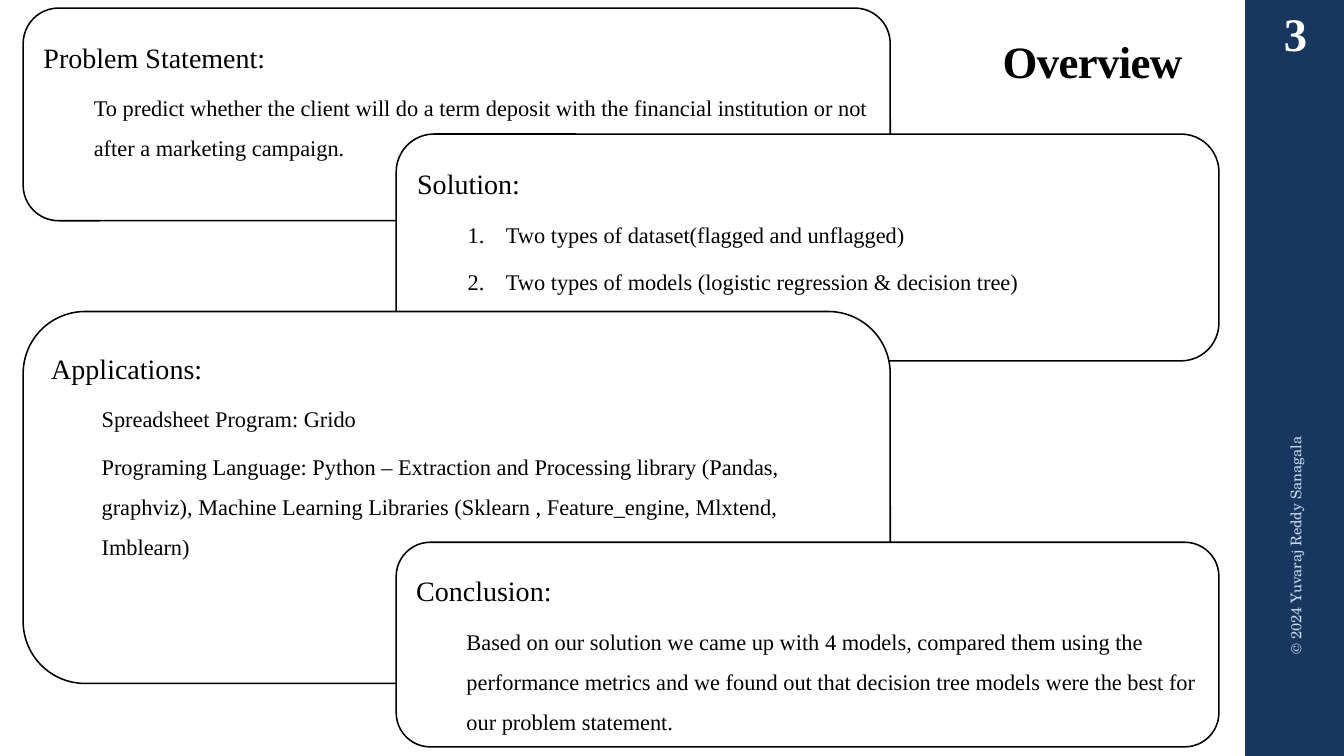
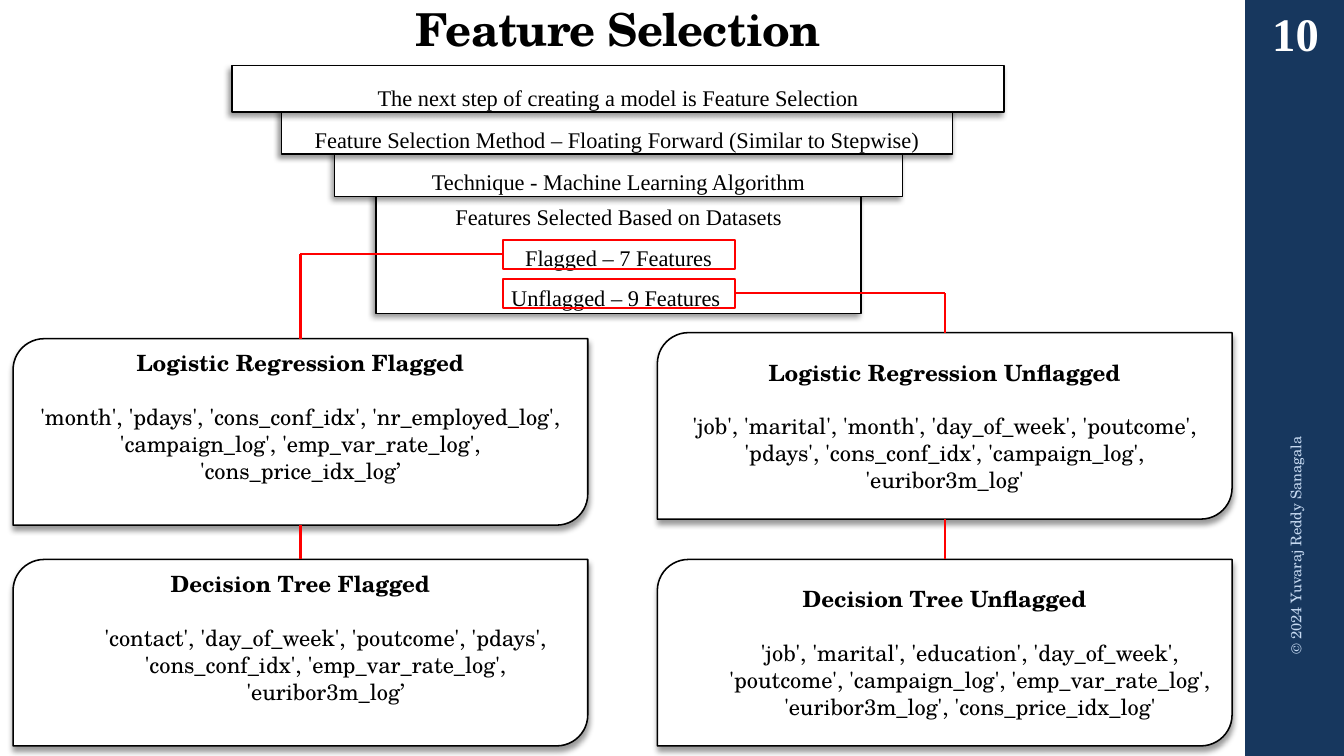
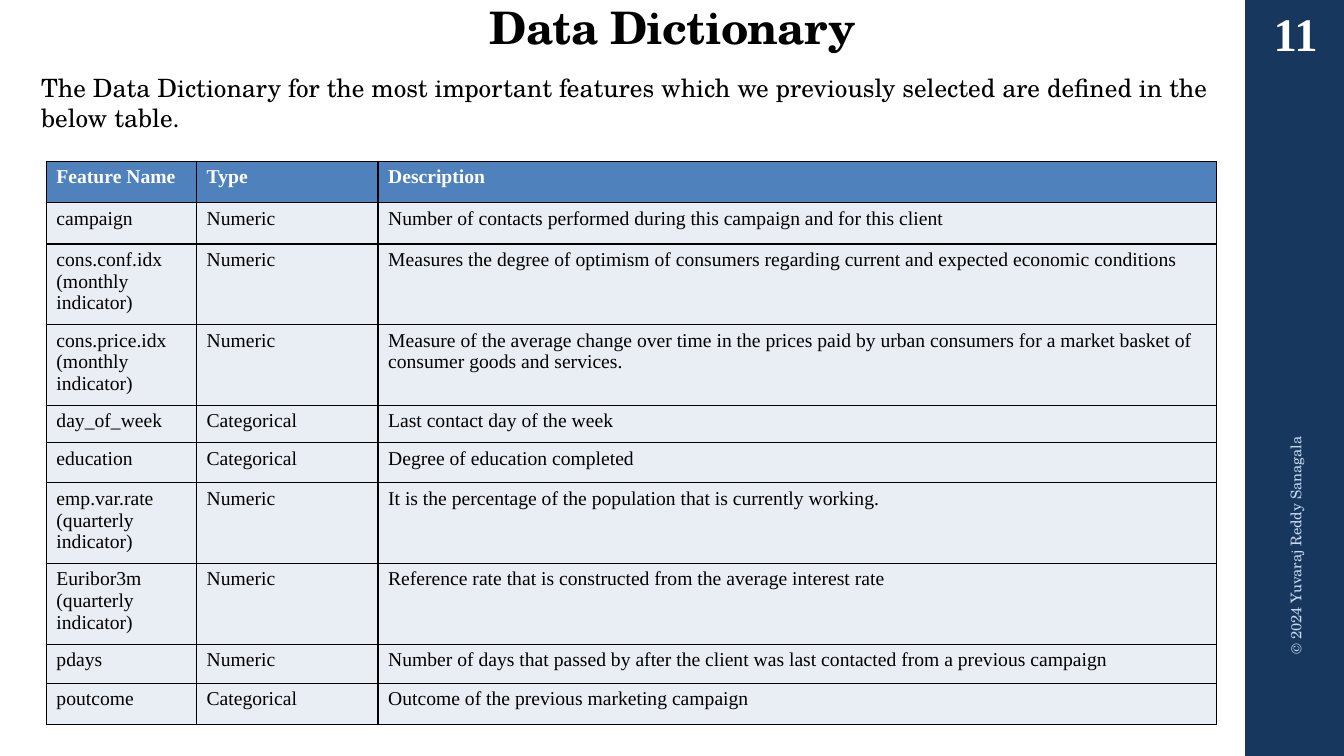
"""Build three slides of a term deposit prediction deck: overview, feature selection, data dictionary."""
from lxml import etree
from pptx import Presentation
from pptx.dml.color import RGBColor
from pptx.enum.shapes import MSO_CONNECTOR, MSO_SHAPE
from pptx.enum.text import MSO_ANCHOR, MSO_AUTO_SIZE, PP_ALIGN
from pptx.oxml.ns import qn
from pptx.util import Inches, Pt

RECT, ROUND, DIAGONAL = MSO_SHAPE.RECTANGLE, MSO_SHAPE.ROUNDED_RECTANGLE, MSO_SHAPE.ROUND_2_DIAG_RECTANGLE
STRAIGHT = MSO_CONNECTOR.STRAIGHT
LEFT, CENTER = PP_ALIGN.LEFT, PP_ALIGN.CENTER
TOP, MIDDLE, BOTTOM = MSO_ANCHOR.TOP, MSO_ANCHOR.MIDDLE, MSO_ANCHOR.BOTTOM
GROW = MSO_AUTO_SIZE.SHAPE_TO_FIT_TEXT
SERIF, SCHOLA = "Times New Roman", "TeX Gyre Schola"
BLACK, WHITE, RED = "000000", "FFFFFF", "FF0000"
NAVY, PALE_BLUE, HEADER_BLUE, ROW_GREY = "17375E", "C6D9F1", "4F81BD", "E9EDF4"
color = RGBColor.from_string


def write(frame, text, size=16, font=SERIF, ink=BLACK, bold=False, align=LEFT, line=1.0,
          before=0, after=0, margin=0, hanging=0, numbered=False, tracking=0):
    """Add one formatted paragraph to a text frame."""
    paragraph = frame.add_paragraph() if frame.text else frame.paragraphs[0]
    paragraph.alignment = align
    paragraph.line_spacing = line
    paragraph.space_before, paragraph.space_after = Pt(before), Pt(after)
    properties = paragraph._p.get_or_add_pPr()
    if margin:
        paragraph.level = 1
        properties.set("marL", str(Inches(margin)))
        properties.set("indent", str(Inches(-hanging)))
    if numbered:
        etree.SubElement(properties, qn("a:buAutoNum"), type="arabicPeriod")
    run = paragraph.add_run()
    run.text = text
    run.font.size, run.font.name, run.font.bold = Pt(size), font, bold
    run.font.color.rgb = color(ink)
    if tracking:
        run._r.get_or_add_rPr().set("spc", str(int(tracking * 100)))


def add_box(slide, place, kind=None, fill=None, line=None, width=1.1, shadow=None, anchor=TOP, grow=False):
    """Add a preset shape, or a text box when no kind is given."""
    lengths = [Inches(value) for value in place]
    if kind is None:
        box = slide.shapes.add_textbox(*lengths)
    else:
        box = slide.shapes.add_shape(kind, *lengths)
        box.shadow.inherit = False
        if fill:
            box.fill.solid()
            box.fill.fore_color.rgb = color(fill)
        else:
            box.fill.background()
        if line:
            box.line.color.rgb = color(line)
            box.line.width = Pt(width)
        else:
            box.line.fill.background()
    if shadow:
        effects = box._element.spPr.find(qn("a:effectLst"))
        outer = etree.SubElement(effects, qn("a:outerShdw"), blurRad=str(Pt(4)), dist=str(Pt(3)),
                                 dir=str(shadow * 60000), algn="t", rotWithShape="0")
        tint = etree.SubElement(outer, qn("a:srgbClr"), val=BLACK)
        etree.SubElement(tint, qn("a:alpha"), val="40000")
    box.text_frame.word_wrap = True
    box.text_frame.vertical_anchor = anchor
    if grow:
        box.text_frame.auto_size = GROW
    return box


deck = Presentation()
deck.slide_width, deck.slide_height = Inches(13.33), Inches(7.5)

pages = [
    ("Overview", "3", (9.47, 0.27, 2.73, 0.65), SERIF, 32),
    ("Feature Selection", "10", (4.01, 0, 4.24, 0.61), SCHOLA, 32.4),
    ("Data Dictionary", "11", (4.29, -0.02, 4.76, 0.61), SCHOLA, 32),
]
slides = []
for heading, number, place, font, size in pages:
    slide = deck.slides.add_slide(deck.slide_layouts[6])
    slide.background.fill.solid()
    slide.background.fill.fore_color.rgb = color(WHITE)
    add_box(slide, (12.35, 0, 1, 7.5), RECT, fill=NAVY)
    title = add_box(slide, place, anchor=BOTTOM)
    write(title.text_frame, heading, size=size, font=font, bold=True, align=CENTER, line=0.9, tracking=-0.5)
    page_number = add_box(slide, (12.35, 0, 1, 0.65), anchor=MIDDLE)
    page_number.text_frame.margin_left = page_number.text_frame.margin_right = Inches(0.05)
    write(page_number.text_frame, number, size=33.3, ink=WHITE, bold=True, align=CENTER)
    copyright_line = add_box(slide, (10.89, 4.43, 3.92, 0.4), anchor=MIDDLE)
    copyright_line.rotation = 270
    write(copyright_line.text_frame, "© 2024 Yuvaraj Reddy Sanagala", size=10.5, font=SCHOLA, ink=PALE_BLUE)
    slides.append(slide)
overview, selection, dictionary = slides

plain = {"margin": 0.5}
numbered = {"margin": 0.88, "hanging": 0.38, "numbered": True}
cards = [
    ((0.23, 0.08, 8.6, 2.11), "Problem Statement:", plain, [
        "To predict whether the client will do a term deposit with the financial institution or not "
        "after a marketing campaign."]),
    ((3.93, 1.33, 8.16, 2.25), "Solution:", numbered, [
        "Two types of dataset(flagged and unflagged)",
        "Two types of models (logistic regression & decision tree)"]),
    ((0.23, 3.09, 8.6, 3.69), "Applications:", plain, [
        "Spreadsheet Program: Grido",
        "Programing Language: Python – Extraction and Processing library (Pandas, graphviz), "
        "Machine Learning Libraries (Sklearn , Feature_engine, Mlxtend, Imblearn)"]),
    ((3.93, 5.38, 8.16, 2.03), "Conclusion:", plain, [
        "Based on our solution we came up with 4 models, compared them using the performance metrics "
        "and we found out that decision tree models were the best for our problem statement."]),
]
for place, heading, layout, points in cards:
    card = add_box(overview, place, ROUND, fill=WHITE, line=BLACK, grow=True)
    write(card.text_frame, heading, size=20, line=1.5, before=10)
    for point in points:
        write(card.text_frame, point, line=1.5, before=5, **layout)

datasets = add_box(selection, (3.73, 1.71, 4.81, 1.4), RECT, fill=WHITE, line=BLACK, shadow=135, grow=True)
datasets.text_frame.margin_top = Inches(0.31)
write(datasets.text_frame, "Features Selected Based on Datasets", align=CENTER)
for count in ("Flagged – 7 Features", "Unflagged – 9 Features "):
    write(datasets.text_frame, count, align=CENTER, line=1.5)

steps = [
    (3.32, 1.49, 5.63, "Technique - Machine Learning Algorithm"),
    (2.79, 1.07, 6.66, "Feature Selection Method – Floating Forward (Similar to Stepwise)"),
    (2.3, 0.65, 7.66, "The next step of creating a model is Feature Selection"),
]
for left, top, width, text in steps:
    step = add_box(selection, (left, top, width, 0.46), RECT, fill=WHITE, line=BLACK, shadow=135, grow=True)
    write(step.text_frame, text, align=CENTER, line=1.5, before=10)

models = [
    (0.13, 3.36, "Logistic Regression Flagged", 0, 0.35,
     "'month', 'pdays', 'cons_conf_idx', 'nr_employed_log', 'campaign_log', 'emp_var_rate_log', "
     "'cons_price_idx_log’"),
    (6.52, 3.3, "Logistic Regression Unflagged", 0, 0.05,
     "'job', 'marital', 'month', 'day_of_week', 'poutcome', 'pdays', 'cons_conf_idx', 'campaign_log', "
     "'euribor3m_log'"),
    (0.13, 5.55, "Decision Tree Flagged", 0.5, 0.35,
     "'contact', 'day_of_week', 'poutcome', 'pdays', 'cons_conf_idx', 'emp_var_rate_log', 'euribor3m_log’"),
    (6.52, 5.55, "Decision Tree Unflagged", 0.5, 0.05,
     "'job', 'marital', 'education', 'day_of_week', 'poutcome', 'campaign_log', 'emp_var_rate_log', "
     "'euribor3m_log', 'cons_price_idx_log'"),
]
for left, top, heading, margin, bottom_inset, features in models:
    model = add_box(selection, (left, top, 5.7, 1.85), DIAGONAL, fill=WHITE, line=BLACK, shadow=90, anchor=MIDDLE)
    model.text_frame.margin_bottom = Inches(bottom_inset)
    write(model.text_frame, heading, font=SCHOLA, bold=True, align=CENTER, after=19.2)
    write(model.text_frame, features, font=SCHOLA, align=CENTER, margin=margin)

branches = [(2.38, 4.99, 2.98, 2.52, 3.36), (2.77, 7.28, 9.37, 2.91, 3.3)]
for frame_top, edge, turn, level, model_top in branches:
    add_box(selection, (4.99, frame_top, 2.3, 0.29), RECT, line=RED, width=1.5)
    segments = [(edge, level, turn, level), (turn, level, turn, model_top), (turn, model_top + 1.85, turn, 5.55)]
    for ends in segments:
        link = selection.shapes.add_connector(STRAIGHT, *[Inches(value) for value in ends])
        link.line.color.rgb = color(RED)
        link.line.width = Pt(1.5)
        etree.SubElement(link._element.spPr, qn("a:effectLst"))

intro = add_box(dictionary, (0.31, 0.67, 11.89, 0.71), grow=True)
write(intro.text_frame, "The Data Dictionary for the most important features which we previously selected "
      "are defined in the below table.", size=18, font=SCHOLA)

entries = [
    (1.6, "Feature Name", "Type", "Description"),
    (2.01, "campaign", "Numeric", "Number of contacts performed during this campaign and for this client"),
    (2.42, "cons.conf.idx\n(monthly indicator)", "Numeric",
     "Measures the degree of optimism of consumers regarding current and expected economic conditions"),
    (3.22, "cons.price.idx\n(monthly indicator)", "Numeric",
     "Measure of the average change over time in the prices paid by urban consumers for a market basket "
     "of consumer goods and services."),
    (4.02, "day_of_week", "Categorical", "Last contact day of the week"),
    (4.39, "education", "Categorical", "Degree of education completed"),
    (4.79, "emp.var.rate\n(quarterly indicator)", "Numeric",
     "It is the percentage of the population that is currently working."),
    (5.59, "Euribor3m\n(quarterly indicator)", "Numeric",
     "Reference rate that is constructed from the average interest rate"),
    (6.39, "pdays", "Numeric",
     "Number of days that passed by after the client was last contacted from a previous campaign"),
    (6.78, "poutcome", "Categorical", "Outcome of the previous marketing campaign"),
]
column_widths = (1.49, 1.8, 8.32)
for index, (top, *texts) in enumerate(entries):
    is_header = index == 0
    entry = dictionary.shapes.add_table(1, 3, Inches(0.46), Inches(top), Inches(11.61), Inches(0.41)).table
    entry.first_row = entry.horz_banding = False
    for column, width, cell, text in zip(entry.columns, column_widths, entry.rows[0].cells, texts):
        column.width = Inches(width)
        for part in text.split("\n"):
            write(cell.text_frame, part, size=14, ink=WHITE if is_header else BLACK, bold=is_header)
        properties = cell._tc.get_or_add_tcPr()
        for side in ("a:lnL", "a:lnR", "a:lnT", "a:lnB"):
            border = etree.SubElement(properties, qn(side), w=str(Pt(1)))
            paint = etree.SubElement(border, qn("a:solidFill"))
            etree.SubElement(paint, qn("a:srgbClr"), val=BLACK)
        cell.fill.solid()
        cell.fill.fore_color.rgb = color(HEADER_BLUE if is_header else ROW_GREY)

deck.save("out.pptx")
